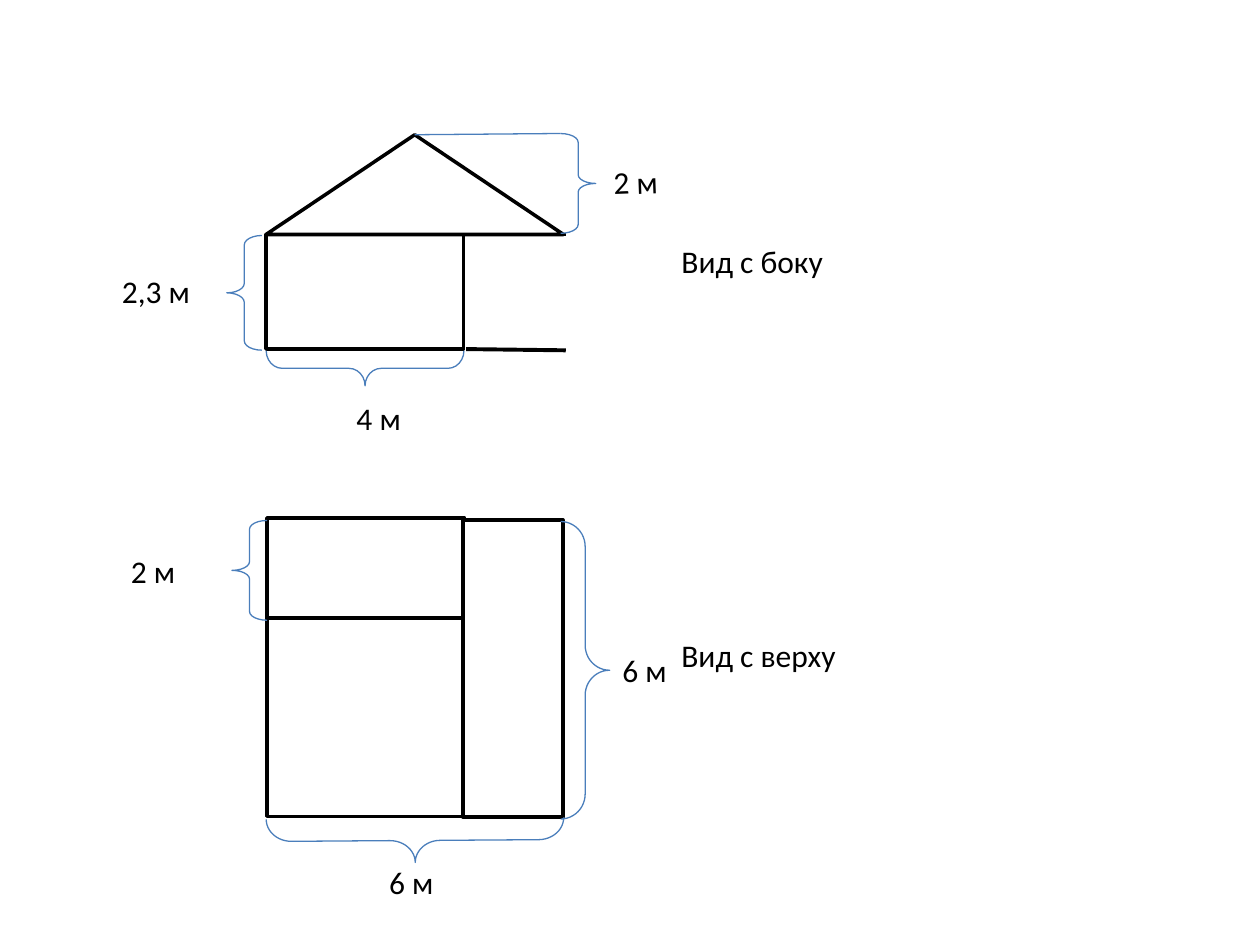
from pptx import Presentation
from pptx.dml.color import RGBColor
from pptx.enum.shapes import MSO_CONNECTOR, MSO_SHAPE as SHAPE
from pptx.enum.text import MSO_AUTO_SIZE
from pptx.oxml.ns import qn
from pptx.util import Pt
from lxml.etree import SubElement

COLORS = {"ink": "000000", "paper": "FFFFFF", "brace": "4A7EBB"}
FONT = "Calibri"
LABEL_H = 29
BRACE_W = 20
M2, M4, M6 = 57, 113, 170
WALL_H = 65.5


def rgb(name):
    """Return the named colour."""
    return RGBColor.from_string(COLORS[name])


def set_line(line, color, width):
    """Colour a line and set its width."""
    line.color.rgb = rgb(color)
    line.width = Pt(width)


def add_wall(s, kind, x, y, w, h):
    """Add a white part of the house with a black outline."""
    sp = s.shapes.add_shape(kind, Pt(x), Pt(y), Pt(w), Pt(h))
    sp.shadow.inherit = False
    sp.fill.solid()
    sp.fill.fore_color.rgb = rgb("paper")
    set_line(sp.line, "ink", 2)


def add_brace(s, kind, x, y, w, h, curve, rotation=0):
    """Add a dimension brace with the given curve size."""
    sp = s.shapes.add_shape(kind, Pt(x), Pt(y), Pt(w), Pt(h))
    sp.shadow.inherit = False
    sp.fill.background()
    set_line(sp.line, "brace", 0.75)
    sp.adjustments[0] = curve
    sp.rotation = rotation


def add_line(s, x1, y1, x2, y2, color, width):
    """Add a straight line without a shadow."""
    line = s.shapes.add_connector(MSO_CONNECTOR.STRAIGHT, Pt(x1), Pt(y1), Pt(x2), Pt(y2))
    set_line(line.line, color, width)
    SubElement(line._element.spPr, qn("a:effectLst"))


def add_label(s, text, x, y, w, rotation=0):
    """Add a one-line label."""
    sp = s.shapes.add_textbox(Pt(x), Pt(y), Pt(w), Pt(LABEL_H))
    sp.rotation = rotation
    tf = sp.text_frame
    tf.word_wrap = True
    tf.auto_size = MSO_AUTO_SIZE.SHAPE_TO_FIT_TEXT
    tf.text = text
    font = tf.paragraphs[0].runs[0].font
    font.name = FONT
    font.size = Pt(18)
    font.color.rgb = rgb("ink")


def add_side_view(s, x, y):
    """Draw the house from the side, with the roof's corner at x, y."""
    floor = y + M2 + WALL_H
    add_wall(s, SHAPE.RECTANGLE, x, y + M2, M4, WALL_H)
    for top, drop in ((y + M2, 0), (floor, 0.7)):
        add_line(s, x + 114.4, top, x + 171.3, top + drop, "ink", 2.25)
    add_wall(s, SHAPE.ISOSCELES_TRIANGLE, x, y, M6, M2)
    add_brace(s, SHAPE.LEFT_BRACE, x - 22.4, y + M2 + 0.6, BRACE_W, WALL_H, 0.27)
    add_label(s, "2,3 м", x - 89.4, y + 75, 68.4)
    add_brace(s, SHAPE.RIGHT_BRACE, x + 46.6, y + 77, BRACE_W, M4, 0.46, 90)
    add_label(s, "4 м", x + 44.6, y + 147.6, 46.8)
    add_brace(s, SHAPE.RIGHT_BRACE, x + 168.4, y - 0.7, BRACE_W, M2, 0.25)
    add_label(s, "2 м", x + 191.4, y + 12.3, 42.5, 357.8)
    add_line(s, x + M6 / 2, y, x + 168.4, y - 0.7, "brace", 0.75)
    add_label(s, "Вид с боку", x + 230.3, y + 57.6, 118)


def add_top_view(s, x, y):
    """Draw the house from above, with its corner at x, y."""
    add_wall(s, SHAPE.RECTANGLE, x, y + M2 + 0.5, M4, M4)
    add_wall(s, SHAPE.RECTANGLE, x, y, M4, M2)
    add_wall(s, SHAPE.RECTANGLE, x + M4 - 1, y + 1, M2, M6)
    add_brace(s, SHAPE.RIGHT_BRACE, x + 72, y + 99.3, 25.2, M6, 0.57, 89.6)
    add_label(s, "6 м", x + 62.7, y + 193.6, 54.7)
    add_brace(s, SHAPE.RIGHT_BRACE, x + 167.8, y + 2, 28, M6, 0.51)
    add_label(s, "6 м", x + 195.9, y + 72.6, 42.5)
    add_brace(s, SHAPE.LEFT_BRACE, x - 20, y + 1.4, BRACE_W, M2, 0.25)
    add_label(s, "2 м", x - 84.9, y + 15.8, 60.5)
    add_label(s, "Вид с верху", x + 229.7, y + 64, 124)


def main():
    """Build and save the slide."""
    prs = Presentation()
    prs.slide_width, prs.slide_height = Pt(720), Pt(540)
    s = prs.slides.add_slide(prs.slide_layouts[6])
    add_side_view(s, 152, 77)
    add_top_view(s, 152.6, 296)
    prs.save("out.pptx")


if __name__ == "__main__":
    main()
